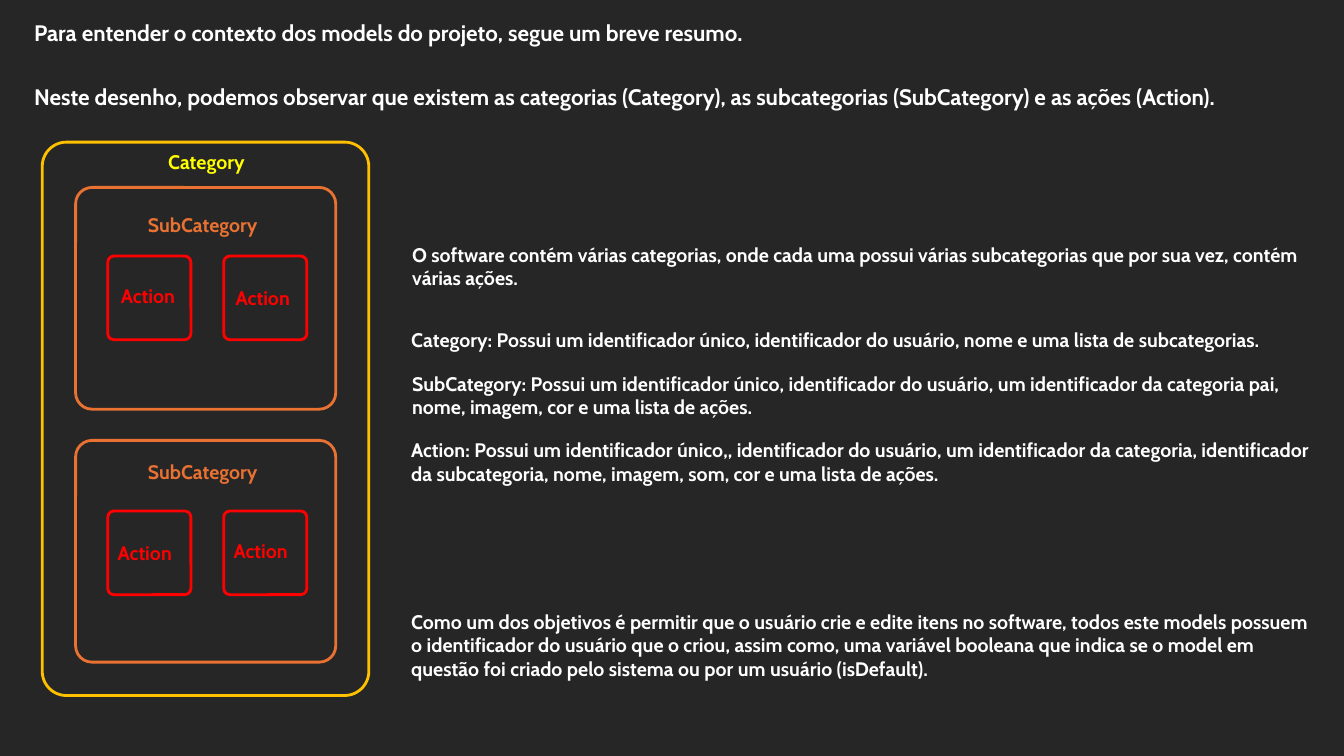
import pptx
import pptx.dml.color
import pptx.enum.shapes
import pptx.enum.text
import pptx.util

Pt = pptx.util.Pt

COLOURS = {
    "background": "262626",
    "text": "FFFFFF",
    "category_line": "FFC000",
    "category_label": "FFFF00",
    "subcategory": "E97132",
    "action": "FF0000",
}
FONT = "Cabin"
LABEL_HEIGHT = 24.5

INTRODUCTION = [
    (10.1, "Para entender o contexto dos models do projeto, segue um breve resumo."),
    (56.2, "Neste desenho, podemos observar que existem as categorias (Category), "
           "as subcategorias (SubCategory) e as ações (Action)."),
]

# Left, top, height, wording
EXPLANATIONS = [
    (287.3, 169.9, 41, "O software contém várias categorias, onde cada uma possui várias "
                       "subcategorias que por sua vez, contém várias ações."),
    (286.6, 230.4, 24.5, "Category: Possui um identificador único, identificador do usuário, "
                         "nome e uma lista de subcategorias."),
    (287.3, 262.1, 41, "SubCategory: Possui um identificador único, identificador do usuário, "
                       "um identificador da categoria pai, nome, imagem, cor e uma lista de ações."),
    (286.6, 309.6, 41, "Action: Possui um identificador único,, identificador do usuário, "
                       "um identificador da categoria, identificador da subcategoria, nome, "
                       "imagem, som, cor e uma lista de ações."),
    (286.6, 432, 58.3, "Como um dos objetivos é permitir que o usuário crie e edite itens no "
                       "software, todos este models possuem o identificador do usuário que o "
                       "criou, assim como, uma variável booleana que indica se o model em "
                       "questão foi criado pelo sistema ou por um usuário (isDefault)."),
]

# Frame top, label top, top of the action frames, places of the action labels
SUBCATEGORIES = [
    (133.9, 148.3, 182.9, [(79.2, 199.4), (161.3, 200.9)]),
    (314.6, 324.7, 365, [(77, 383), (159.8, 381.6)]),
]
ACTION_LEFTS = [77, 159.8]


def colour(name):
    return pptx.dml.color.RGBColor.from_string(COLOURS[name])


def add_text(page, left, top, width, height, wording, colour_name="text", size=14):
    box = page.shapes.add_textbox(Pt(left), Pt(top), Pt(width), Pt(height))
    frame = box.text_frame
    frame.word_wrap = True
    frame.auto_size = pptx.enum.text.MSO_AUTO_SIZE.SHAPE_TO_FIT_TEXT
    frame.text = wording
    font = frame.paragraphs[0].runs[0].font
    font.name = FONT
    font.size = Pt(size)
    font.bold = True
    font.color.rgb = colour(colour_name)


def add_frame(page, left, top, width, height, colour_name):
    """Add an unfilled rounded rectangle."""
    shape = page.shapes.add_shape(
        pptx.enum.shapes.MSO_SHAPE.ROUNDED_RECTANGLE,
        Pt(left), Pt(top), Pt(width), Pt(height))
    shape.adjustments[0] = 0.074
    shape.shadow.inherit = False
    shape.fill.background()
    shape.line.color.rgb = colour(colour_name)
    shape.line.width = Pt(2)


def add_subcategory(page, top, label_top, actions_top, action_labels):
    add_frame(page, 54, top, 185.8, 158.4, "subcategory")
    add_text(page, 98.6, label_top, 103.7, LABEL_HEIGHT, "SubCategory", "subcategory")
    for left, (label_left, action_label_top) in zip(ACTION_LEFTS, action_labels):
        add_frame(page, left, actions_top, 59.4, 59.8, "action")
        add_text(page, label_left, action_label_top, 56.9, LABEL_HEIGHT, "Action", "action")


def main():
    deck = pptx.Presentation()
    deck.slide_width, deck.slide_height = Pt(960), Pt(540)
    page = deck.slides.add_slide(deck.slide_layouts[6])
    page.background.fill.solid()
    page.background.fill.fore_color.rgb = colour("background")

    for top, wording in INTRODUCTION:
        add_text(page, 17.3, top, 935, 26.6, wording, size=16)

    add_frame(page, 30.2, 101.5, 233.3, 395.3, "category_line")
    add_text(page, 113, 103.7, 75.6, LABEL_HEIGHT, "Category", "category_label")
    for subcategory in SUBCATEGORIES:
        add_subcategory(page, *subcategory)

    for left, top, height, wording in EXPLANATIONS:
        add_text(page, left, top, 666, height, wording)

    deck.save("out.pptx")


if __name__ == "__main__":
    main()
